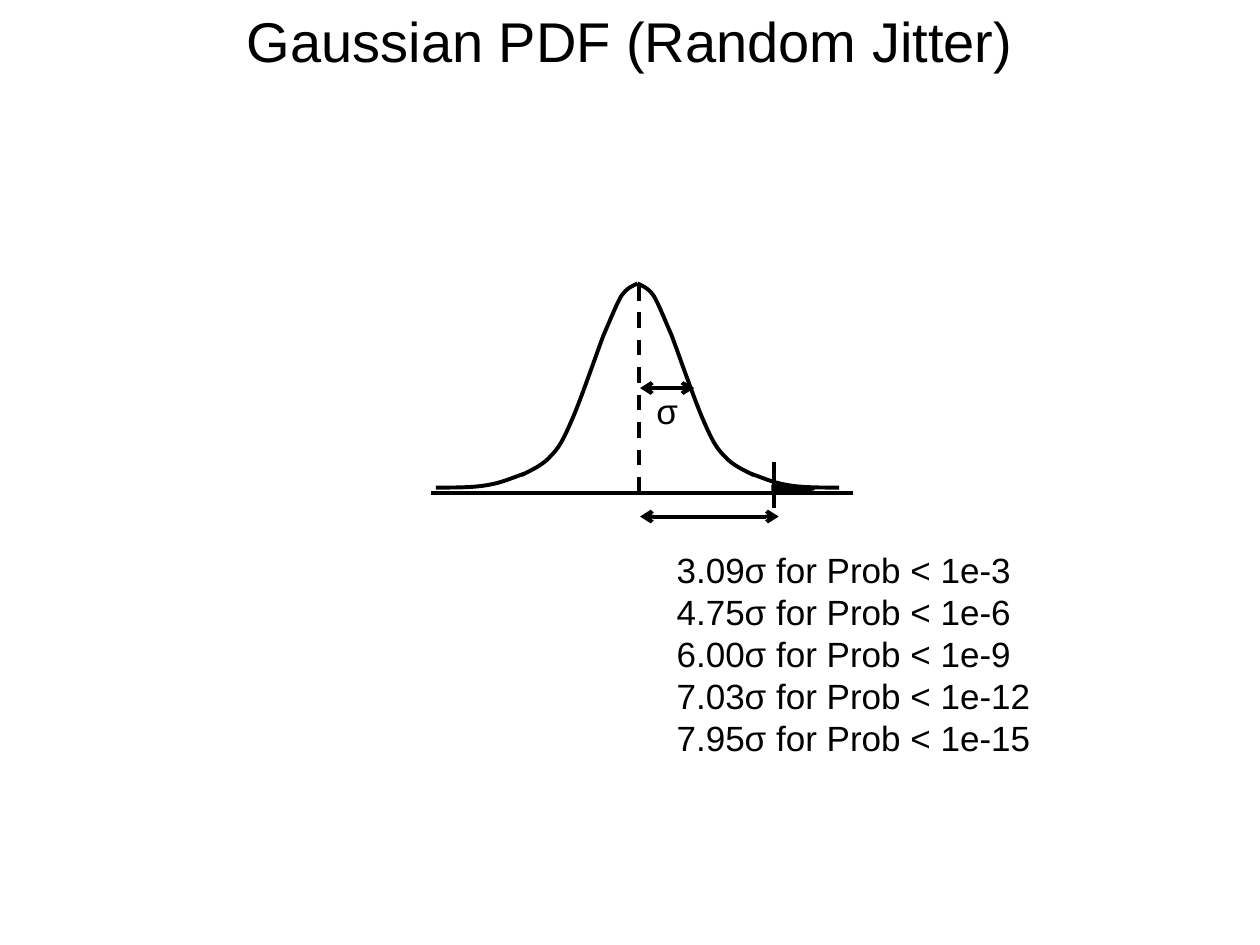
from dataclasses import dataclass
from typing import NamedTuple

from lxml.etree import SubElement
from pptx import Presentation
from pptx.dml.color import RGBColor
from pptx.enum.dml import MSO_LINE
from pptx.enum.shapes import MSO_CONNECTOR, MSO_SHAPE
from pptx.enum.text import MSO_ANCHOR, MSO_AUTO_SIZE, PP_ALIGN
from pptx.oxml.ns import qn
from pptx.util import Inches, Pt


@dataclass(frozen=True)
class Theme:
    ink: RGBColor = RGBColor(0, 0, 0)
    font: str = "Arial"
    title_size: Pt = Pt(32)
    label_size: Pt = Pt(20)
    label_pitch: Pt = Pt(24)
    stroke: Pt = Pt(2.25)
    tail_stroke: Pt = Pt(2)


class Point(NamedTuple):
    x: float
    y: float


class Rule(NamedTuple):
    start: Point
    end: Point
    dashed: bool = False
    arrows: bool = False


THEME = Theme()
MEAN_X = 5.06
BASE_Y = 3.91

# Left half of the bell: each list is a chain of cubic Bezier points
FLANK = [Point(*p) for p in (
    (4.14, 3.77), (4.22, 3.73), (4.31, 3.69), (4.37, 3.62),
    (4.44, 3.55), (4.47, 3.49), (4.54, 3.33),
    (4.61, 3.17), (4.73, 2.82), (4.79, 2.66),
    (4.86, 2.5), (4.89, 2.42), (4.93, 2.35),
    (4.98, 2.28), (5.02, 2.27), (MEAN_X, 2.25))]
TAIL = [Point(*p) for p in (
    (4.16, 3.76), (4.07, 3.79), (3.99, 3.83), (3.87, 3.85),
    (3.76, 3.87), (3.61, 3.87), (3.46, 3.87))]

AXIS = Rule(Point(6.77, BASE_Y), Point(3.42, BASE_Y))
MARKERS = [
    Rule(Point(5.08, 3.08), Point(5.51, 3.08), arrows=True),     # one sigma
    Rule(Point(5.07, BASE_Y), Point(5.07, 2.25), dashed=True),   # mean
    Rule(Point(6.14, 4.03), Point(6.14, 3.67)),                  # threshold
    Rule(Point(5.08, 4.1), Point(6.18, 4.1), arrows=True),       # distance
]

LIMITS = [("3.09", 3), ("4.75", 6), ("6.00", 9), ("7.03", 12), ("7.95", 15)]


def mirror(points: list[Point]) -> list[Point]:
    return [Point(2 * MEAN_X - p.x, p.y) for p in points]


def ink_line(line, width: Pt) -> None:
    line.color.rgb = THEME.ink
    line.width = width


def draw_curve(shapes, points: list[Point]) -> None:
    """Open outline whose points are joined in threes as cubic Beziers."""
    first, *rest = [(Inches(p.x), Inches(p.y)) for p in points]
    builder = shapes.build_freeform(*first)
    builder.add_line_segments(rest, close=False)
    curve = builder.convert_to_shape()
    outline = next(curve._element.iter(qn("a:path")))
    segments = outline.findall(qn("a:lnTo"))
    for i in range(0, len(segments), 3):
        bezier = SubElement(outline, qn("a:cubicBezTo"))
        for segment in segments[i:i + 3]:
            bezier.append(segment[0])
            outline.remove(segment)
    curve.shadow.inherit = False
    curve.fill.background()
    ink_line(curve.line, THEME.stroke)


def draw_rule(shapes, rule: Rule) -> None:
    connector = shapes.add_connector(
        MSO_CONNECTOR.STRAIGHT, *map(Inches, (*rule.start, *rule.end)))
    ink_line(connector.line, THEME.stroke)
    if rule.dashed:
        connector.line.dash_style = MSO_LINE.DASH
    if rule.arrows:
        outline = connector.line._get_or_add_ln()
        for end in ("a:headEnd", "a:tailEnd"):
            SubElement(outline, qn(end), type="arrow")
    SubElement(connector._element.spPr, qn("a:effectLst"))


def place(shape, left: float, top: float, width: float, height: float) -> None:
    shape.left, shape.top = Inches(left), Inches(top)
    shape.width, shape.height = Inches(width), Inches(height)


def write(shape, text: str, size: Pt, align: PP_ALIGN, pitch=None) -> None:
    frame = shape.text_frame
    frame.text = text
    frame.word_wrap = True
    frame.auto_size = MSO_AUTO_SIZE.NONE
    frame.vertical_anchor = MSO_ANCHOR.TOP
    for paragraph in frame.paragraphs:
        properties = paragraph._p.get_or_add_pPr()
        properties.set("marL", "0")
        properties.set("indent", "0")
        SubElement(properties, qn("a:buNone"))
        paragraph.alignment = align
        paragraph.space_before = Pt(0)
        if pitch:
            paragraph.line_spacing = pitch
        for run in paragraph.runs:
            run.font.size = size
            run.font.name = THEME.font
            run.font.color.rgb = THEME.ink


def main() -> None:
    deck = Presentation()
    deck.slide_width, deck.slide_height = Inches(10), Inches(7.5)
    slide = deck.slides.add_slide(deck.slide_layouts[1])
    shapes = slide.shapes

    # Title and list of limits
    title, limits = slide.placeholders
    place(title, 0, 0, 10, 0.64)
    write(title, "Gaussian PDF (Random Jitter)", THEME.title_size,
          PP_ALIGN.CENTER)
    place(limits, 5.27, 4.3, 3.11, 1.78)
    write(limits,
          "\n".join(f"{k}σ for Prob < 1e-{power}" for k, power in LIMITS),
          THEME.label_size, PP_ALIGN.LEFT, THEME.label_pitch)

    # Axis and bell curve
    draw_rule(shapes, AXIS)
    bell = shapes.add_group_shape()
    for half in (FLANK, TAIL):
        draw_curve(bell.shapes, half)
        draw_curve(bell.shapes, mirror(half))

    # Markers and dimension arrows
    for rule in MARKERS:
        draw_rule(shapes, rule)

    # Sigma label
    sigma = shapes.add_textbox(*map(Inches, (5.08, 3.04, 0.43, 0.44)))
    write(sigma, "σ", THEME.label_size, PP_ALIGN.CENTER, THEME.label_pitch)

    # Filled tail beyond the threshold
    tail_area = shapes.add_shape(MSO_SHAPE.ISOSCELES_TRIANGLE,
                                 *map(Inches, (6.27, 3.72, 0.05, 0.32)))
    tail_area.rotation = 90
    tail_area.shadow.inherit = False
    tail_area.fill.solid()
    tail_area.fill.fore_color.rgb = THEME.ink
    ink_line(tail_area.line, THEME.tail_stroke)

    deck.save("out.pptx")


if __name__ == "__main__":
    main()
